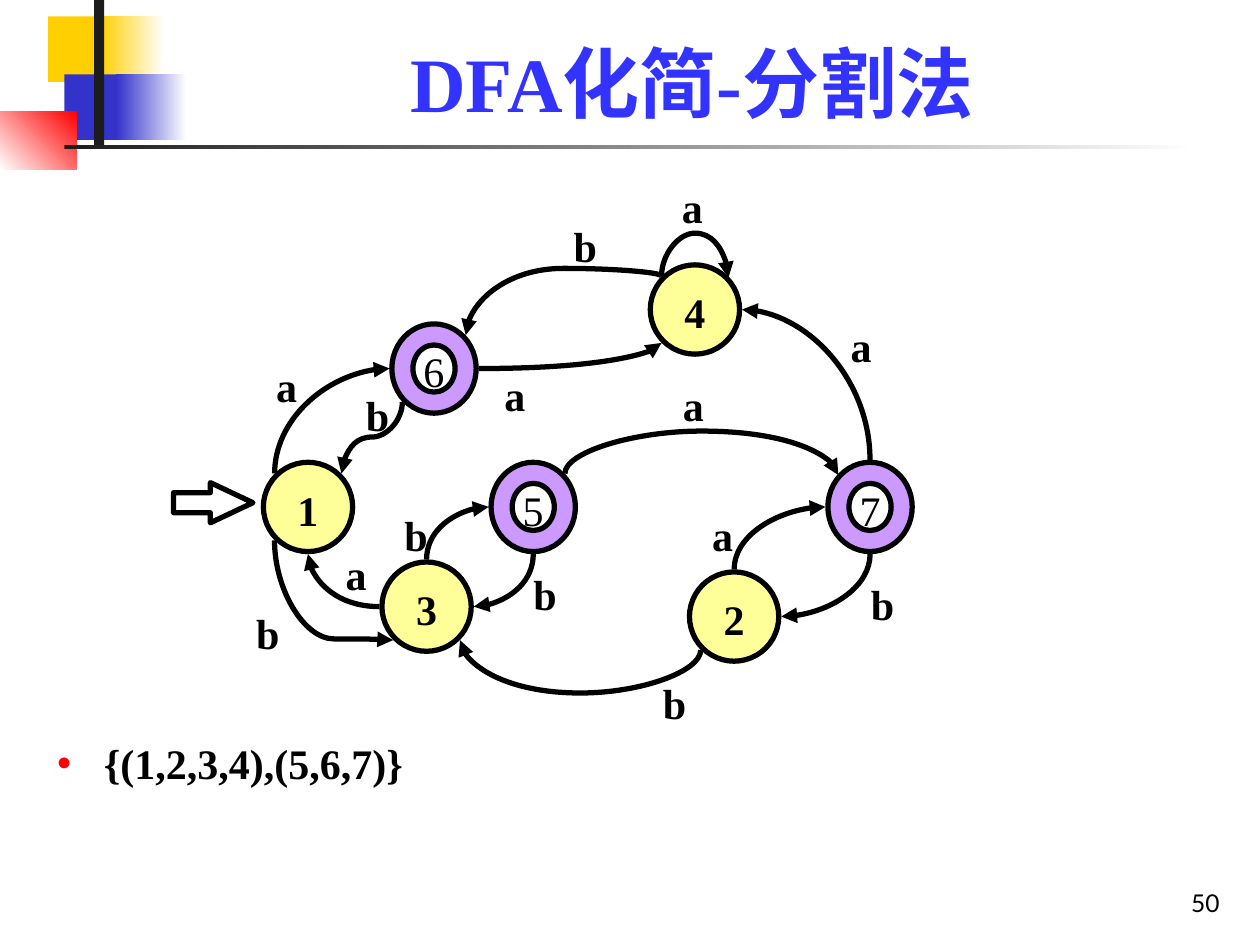
from dataclasses import dataclass
from lxml import etree
from pptx import Presentation
from pptx.dml.color import RGBColor
from pptx.enum.shapes import MSO_CONNECTOR, MSO_SHAPE
from pptx.enum.text import MSO_ANCHOR, MSO_AUTO_SIZE, PP_ALIGN
from pptx.oxml.ns import qn
from pptx.util import Cm, Pt

CURVE = MSO_CONNECTOR.CURVE
RECTANGLE, OVAL, DONUT = MSO_SHAPE.RECTANGLE, MSO_SHAPE.OVAL, MSO_SHAPE.DONUT
RIGHT_ARROW = MSO_SHAPE.RIGHT_ARROW
MIDDLE, BOTTOM = MSO_ANCHOR.MIDDLE, MSO_ANCHOR.BOTTOM
LEFT, CENTER, RIGHT = PP_ALIGN.LEFT, PP_ALIGN.CENTER, PP_ALIGN.RIGHT
NO_AUTOFIT = MSO_AUTO_SIZE.NONE


@dataclass(frozen=True)
class Theme:
    font: str = "Times New Roman"
    number_font: str = "Lato"
    title_size: int = 44
    text_size: int = 24
    number_size: int = 14
    line_width: int = 3
    title: str = "3333FF"
    ink: str = "000000"
    white: str = "FFFFFF"
    yellow: str = "FFCF01"
    blue: str = "3333CC"
    red: str = "FF0000"
    dark: str = "1C1C1C"
    state: str = "FFFF99"
    accepting: str = "CC99FF"


theme = Theme()


def write(shape, text, size=theme.text_size, color=theme.ink, bold=True,
          font=theme.font, align=CENTER, anchor=MIDDLE):
    frame = shape.text_frame
    frame.text = text
    frame.word_wrap = True
    frame.auto_size = NO_AUTOFIT
    frame.vertical_anchor = anchor
    paragraph = frame.paragraphs[0]
    paragraph.alignment = align
    paragraph.space_before = Pt(0)
    run = paragraph.runs[0]
    run.font.name = font
    run.font.size = Pt(size)
    run.font.bold = bold
    run.font.color.rgb = RGBColor.from_string(color)
    return paragraph


prs = Presentation()
prs.slide_width, prs.slide_height = Cm(25.4), Cm(19.05)
slide = prs.slides.add_slide(prs.slide_layouts[1])
shapes = slide.shapes

decorations = [
    (0.97, 0.33, 1.7, 1.32, [theme.yellow], 0),
    (2.03, 0.33, 1.27, 1.32, [theme.yellow, theme.white], 0),
    (1.3, 1.5, 1.62, 1.32, [theme.blue], 0),
    (2.34, 1.5, 1.42, 1.32, [theme.blue, theme.white], 0),
    (0, 2.24, 1.55, 1.17, [theme.white, theme.red], 45),
    (1.9, 0, 0.2, 2.92, [theme.dark], 0),
    (1.3, 2.92, 22.86, 0.08, [theme.dark, theme.white], 0),
]
for left, top, width, height, colors, angle in decorations:
    block = shapes.add_shape(RECTANGLE, Cm(left), Cm(top), Cm(width), Cm(height))
    block.shadow.inherit = False
    block.line.fill.background()
    if len(colors) == 1:
        block.fill.solid()
        block.fill.fore_color.rgb = RGBColor.from_string(colors[0])
    else:
        block.fill.gradient()
        block.fill.gradient_angle = angle
        for stop, color, position in zip(block.fill.gradient_stops, colors, (0, 1)):
            stop.color.rgb = RGBColor.from_string(color)
            stop.position = position

heading = shapes.title
heading.left, heading.top, heading.width, heading.height = Cm(3.2), Cm(0.58), Cm(24.7 - 3.2), Cm(2.13)
write(heading, "DFA化简-分割法", theme.title_size, theme.title, anchor=BOTTOM)

partition = slide.placeholders[1]
partition.left, partition.top, partition.width, partition.height = Cm(0.89), Cm(14.73), Cm(23.39), Cm(3)
groups = write(partition, "{(1,2,3,4),(5,6,7)}", align=LEFT, anchor=MSO_ANCHOR.TOP)
bullet = groups._p.get_or_add_pPr()
bullet.set("marL", str(Cm(0.95)))
bullet.set("indent", str(-Cm(0.95)))
bullet_color = etree.SubElement(bullet, qn("a:buClr"))
etree.SubElement(bullet_color, qn("a:srgbClr"), val=theme.red)
etree.SubElement(bullet, qn("a:buSzPct"), val="60000")
etree.SubElement(bullet, qn("a:buChar"), char="●")

page_number = shapes.add_textbox(Cm(19.56), Cm(17.35), Cm(5.28), Cm(1.27))
write(page_number, "50", theme.number_size, bold=False, font=theme.number_font, align=RIGHT, anchor=BOTTOM)

start = shapes.add_shape(RIGHT_ARROW, Cm(3.5), Cm(9.73), Cm(1.6), Cm(0.81))
start.adjustments[0], start.adjustments[1] = 0.5, 1.06
start.shadow.inherit = False
start.fill.background()
start.line.color.rgb = RGBColor.from_string(theme.ink)
start.line.width = Pt(theme.line_width)

centers = {
    1: (6.21, 10.22), 2: (14.8, 12.43), 3: (8.6, 12.23), 4: (14.01, 6.24),
    5: (10.75, 10.22), 6: (8.75, 7.43), 7: (17.54, 10.22),
}
accepting_states = {5, 6, 7}
half_height = 0.9
half_widths = {state: 0.85 if state in accepting_states else 0.9 for state in centers}
for state, (x, y) in centers.items():
    accepting = state in accepting_states
    half_width = half_widths[state]
    node = shapes.add_shape(DONUT if accepting else OVAL, Cm(x - half_width), Cm(y - half_height),
                            Cm(2 * half_width), Cm(2 * half_height))
    node.shadow.inherit = False
    node.fill.solid()
    node.fill.fore_color.rgb = RGBColor.from_string(theme.accepting if accepting else theme.state)
    node.line.color.rgb = RGBColor.from_string(theme.ink)
    node.line.width = Pt(theme.line_width)
    frame = node.text_frame
    frame.margin_left = frame.margin_right = frame.margin_bottom = 0
    frame.margin_top = Cm(0.1)
    write(node, str(state), bold=not accepting)

gap = 0.05
diagonal = 0.71
directions = {
    "N": (0, -1), "S": (0, 1), "W": (-1, 0), "E": (1, 0),
    "NW": (-diagonal, -diagonal), "NE": (diagonal, -diagonal),
    "SW": (-diagonal, diagonal), "SE": (diagonal, diagonal),
}


def port(state, side):
    (x, y), (dx, dy) = centers[state], directions[side]
    return x + dx * (half_widths[state] + gap), y + dy * (half_height + gap)


transitions = [
    (1, "NW", 6, "W", None, "a", 5.78, 7.77),
    (6, "SW", 1, "NE", 8.81, "b", 7.61, 8.36),
    (1, "SW", 3, "SW", 12.88, "b", 5.4, 12.75),
    (3, "W", 1, "S", None, "a", 7.18, 11.56),
    (3, "N", 5, "W", None, "b", 8.39, 10.77),
    (5, "S", 3, "E", None, "b", 10.99, 11.96),
    (2, "SW", 3, "SE", 13.97, "b", 13.6, 14.17),
    (5, "NE", 7, "NW", 8.69, "a", 13.98, 8.15),
    (2, "N", 7, "W", None, "a", 14.57, 10.77),
    (7, "S", 2, "E", None, "b", 17.79, 12.17),
    (6, "E", 4, "SW", None, "a", 10.38, 7.95),
    (4, "NW", 6, "NE", 5.41, "b", 11.8, 4.95),
    (4, "NW", 4, "NE", 4.7, "a", 13.96, 4.17),
    (7, "N", 4, "E", None, "a", 17.36, 6.96),
]
label_width, label_height = 1, 1.27
for source, exit_side, target, entry_side, bend, symbol, label_x, label_y in transitions:
    x1, y1 = port(source, exit_side)
    x2, y2 = port(target, entry_side)
    if abs(y2 - y1) < 0.03:
        y2 = y1 + 0.03
    middle_x, middle_y = (x1 + x2) / 2, (y1 + y2) / 2
    sideways = exit_side in ("E", "W")
    run_x, run_y = (x2 - x1, y2 - y1) if sideways else (y2 - y1, x1 - x2)
    arc = shapes.add_connector(CURVE, Cm(middle_x - run_x / 2), Cm(middle_y - run_y / 2),
                               Cm(middle_x + run_x / 2), Cm(middle_y + run_y / 2))
    arc.line.color.rgb = RGBColor.from_string(theme.ink)
    arc.line.width = Pt(theme.line_width)
    properties = arc._element.spPr
    if not sideways:
        properties.find(qn("a:xfrm")).set("rot", "5400000")
    geometry = properties.find(qn("a:prstGeom"))
    if bend is None:
        geometry.set("prst", "curvedConnector2")
    else:
        ratio = round((bend - y1) / (y2 - y1) * 100000)
        etree.SubElement(geometry.find(qn("a:avLst")), qn("a:gd"), name="adj1", fmla=f"val {ratio}")
    etree.SubElement(properties.find(qn("a:ln")), qn("a:tailEnd"), type="triangle")
    etree.SubElement(properties, qn("a:effectLst"))

    label = shapes.add_textbox(Cm(label_x - label_width / 2), Cm(label_y - label_height / 2),
                               Cm(label_width), Cm(label_height))
    write(label, symbol)

prs.save("out.pptx")
